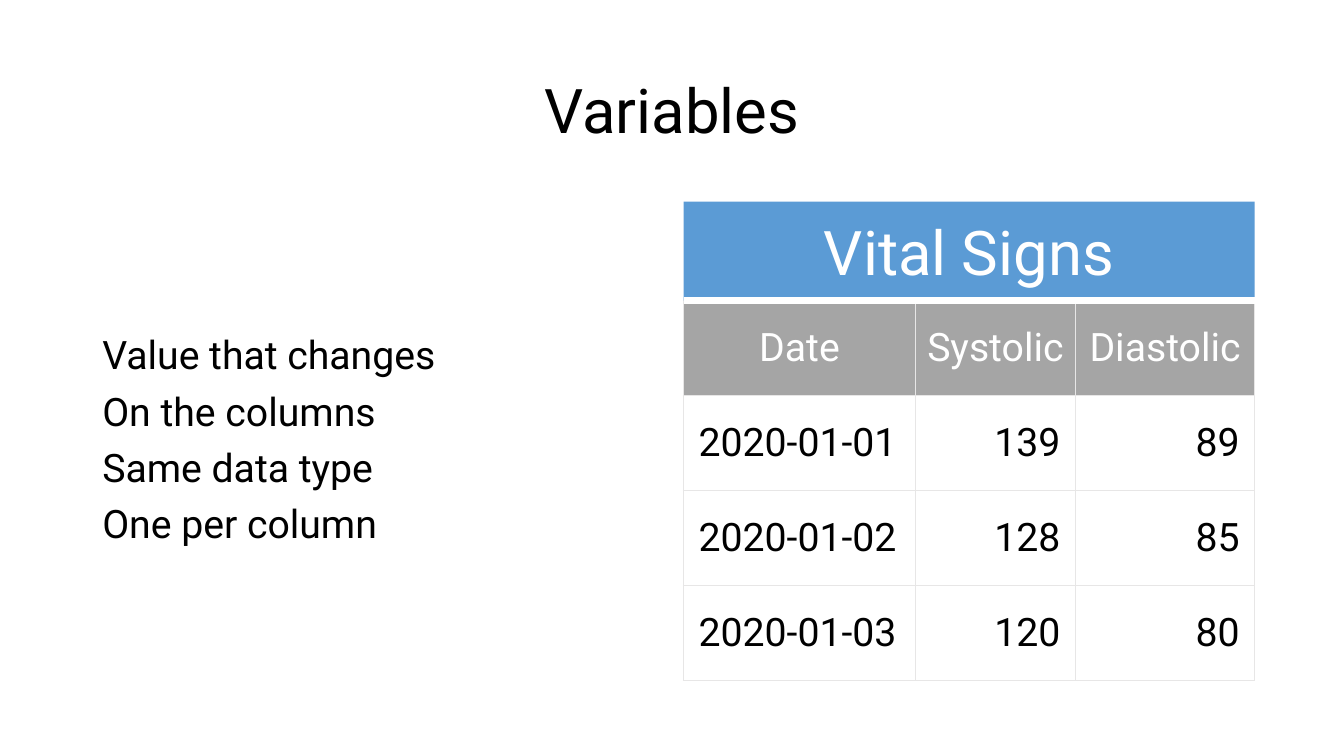
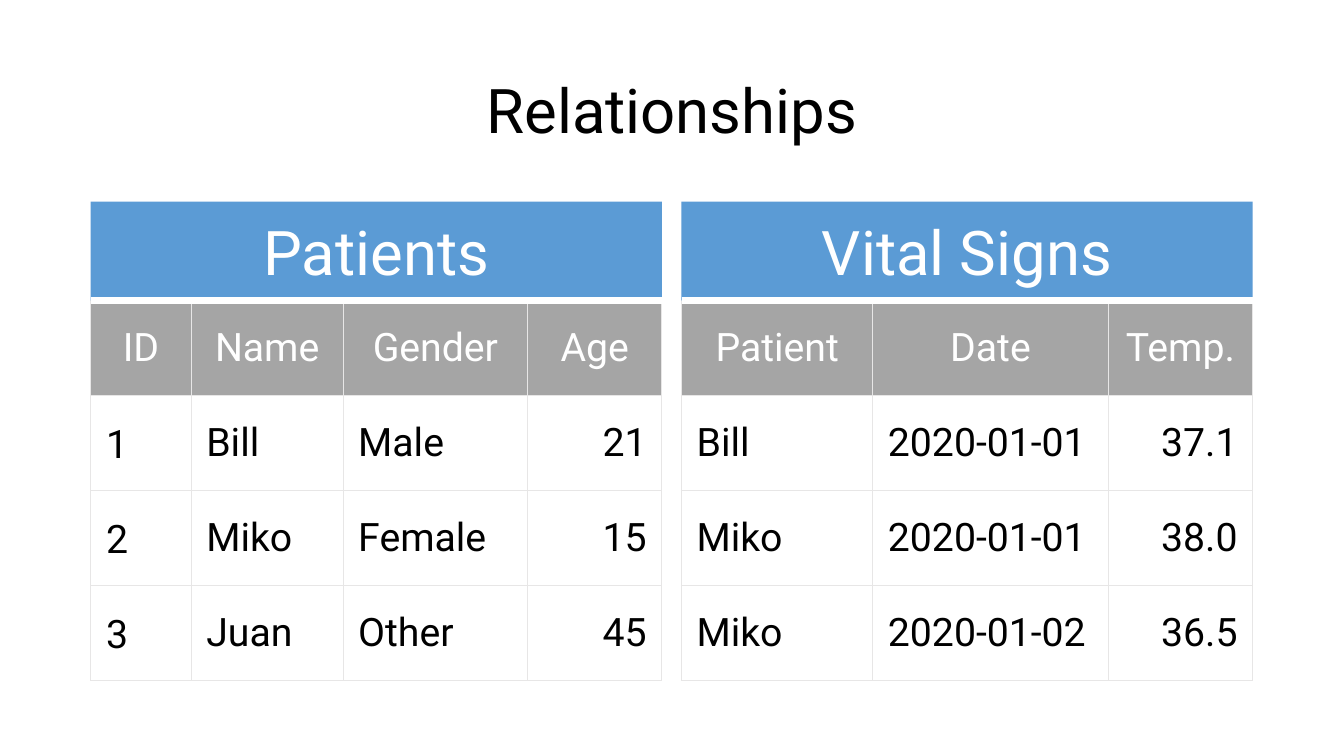
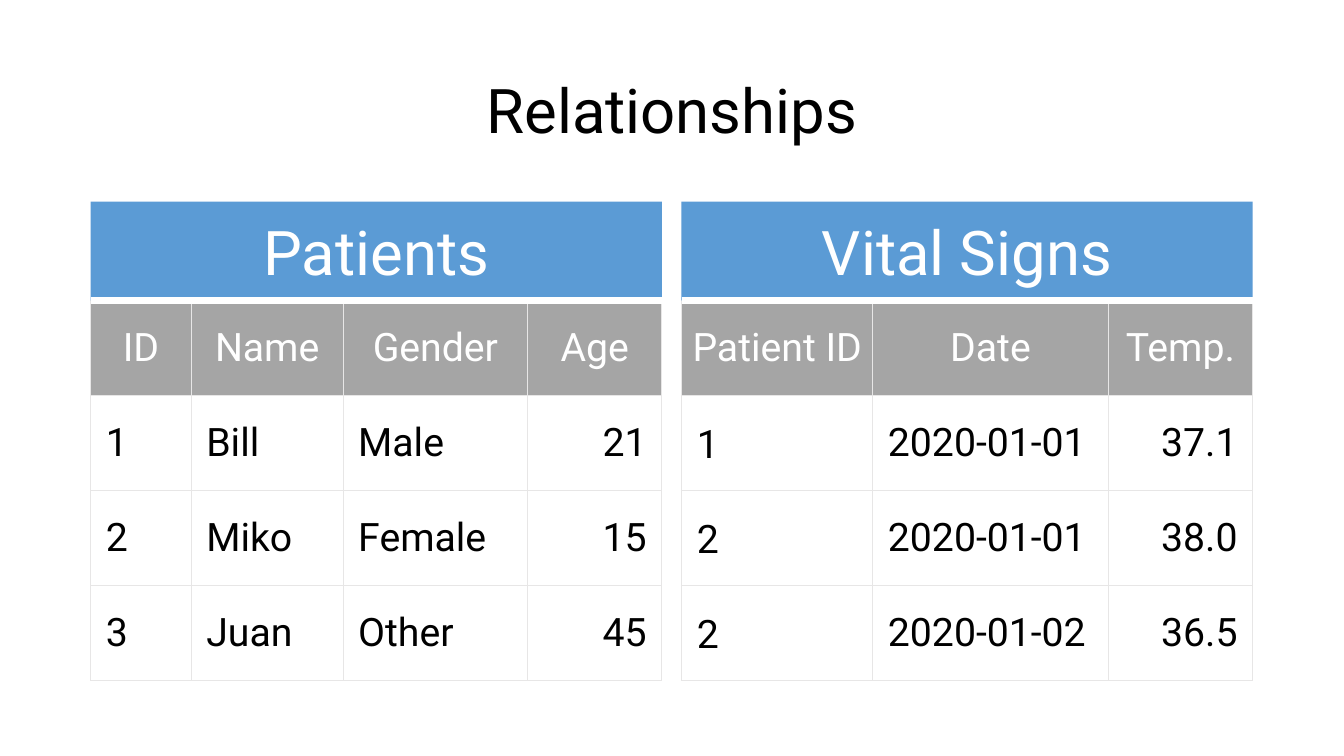
from pptx import Presentation
from pptx.dml.color import RGBColor
from pptx.enum.shapes import MSO_CONNECTOR as Connector, MSO_SHAPE as Shape
from pptx.enum.text import MSO_ANCHOR as Anchor, MSO_AUTO_SIZE as AutoSize, PP_ALIGN as Align
from pptx.oxml.ns import qn
from pptx.util import Inches, Pt
from lxml import etree

# Positions in percent of the slide's width or height
TITLE_AREA = (6.88, 5.32, 86.25, 19.33)
BODY_AREA = (6.88, 26.67, 42.5, 63.47)
BANNER_TOP, BANNER_HEIGHT = 26.67, 13.07
TABLE_WIDTH, ROW_HEIGHT = 42.5, 12.57
KEY_OFFSET, KEY_WIDTH = 0.4, 3.15

# Column shares in percent of the table's width
PATIENT_COLUMNS = (17.6, 26.6, 32.3, 23.5)
VITAL_COLUMNS = (33.5, 41.2, 25.3)
READING_COLUMNS = (40.6, 28, 31.4)

PATIENTS = [
    ("ID", "Name", "Gender", "Age"),
    ("1", "Bill", "Male", "21"),
    ("2", "Miko", "Female", "15"),
    ("3", "Juan", "Other", "45"),
]
READINGS = [
    ("Date", "Systolic", "Diastolic"),
    ("2020-01-01", "139", "89"),
    ("2020-01-02", "128", "85"),
    ("2020-01-03", "120", "80"),
]
TEMPERATURES = [
    ("Date", "Temp."),
    ("2020-01-01", "37.1"),
    ("2020-01-01", "38.0"),
    ("2020-01-02", "36.5"),
]


def colour(value):
    return RGBColor.from_string(value)


class Deck:
    FONT, HEADING, TEXT = "Roboto", 44, 28
    BLACK, WHITE, BLUE, GREY, RULE = "000000", "FFFFFF", "5B9BD5", "A5A5A5", "E7E6E6"

    def __init__(self):
        self.deck = Presentation()
        self.deck.slide_width, self.deck.slide_height = Inches(13.33), Inches(7.5)
        self.page = None

    def x(self, percent):
        return round(self.deck.slide_width * percent / 100)

    def y(self, percent):
        return round(self.deck.slide_height * percent / 100)

    def area(self, left, top, width, height):
        return self.x(left), self.y(top), self.x(width), self.y(height)

    def style(self, frame, size, tint, align=Align.LEFT):
        for para in frame.paragraphs:
            para.alignment = align
            for span in para.runs:
                span.font.name, span.font.size = self.FONT, Pt(size)
                span.font.color.rgb = colour(tint)

    # Slide with its title
    def slide(self, title):
        self.page = self.deck.slides.add_slide(self.deck.slide_layouts[5])
        box = self.page.shapes.title
        box.left, box.top, box.width, box.height = self.area(*TITLE_AREA)
        frame = box.text_frame
        frame.text = title
        frame.auto_size, frame.vertical_anchor = AutoSize.NONE, Anchor.MIDDLE
        frame.paragraphs[0].line_spacing = 0.9
        self.style(frame, self.HEADING, self.BLACK, Align.CENTER)

    # Plain text, centred vertically in its area
    def text(self, words, *area):
        frame = self.page.shapes.add_textbox(*self.area(*area)).text_frame
        frame.word_wrap, frame.vertical_anchor = True, Anchor.MIDDLE
        frame.text = words
        self.style(frame, self.TEXT, self.BLACK)
        return frame

    def body(self, lines):
        for para in self.text("\n".join(lines), *BODY_AREA).paragraphs:
            para.line_spacing, para.space_before = 0.9, Pt(10)

    # Blue name band above a table
    def banner(self, name, left):
        box = self.page.shapes.add_shape(
            Shape.RECTANGLE, *self.area(left, BANNER_TOP, TABLE_WIDTH, BANNER_HEIGHT))
        box.shadow.inherit = False
        box.fill.solid()
        box.fill.fore_color.rgb = colour(self.BLUE)
        box.line.fill.background()
        box.text_frame.text = name
        box.text_frame.vertical_anchor = Anchor.MIDDLE
        self.style(box.text_frame, self.HEADING, self.WHITE, Align.CENTER)

    # White rule between band and table
    def divider(self, left):
        height = self.y(BANNER_TOP + BANNER_HEIGHT)
        line = self.page.shapes.add_connector(
            Connector.STRAIGHT, self.x(left), height, self.x(left + TABLE_WIDTH), height)
        line.line.color.rgb, line.line.width = colour(self.WHITE), Pt(4.5)
        etree.SubElement(line._element.spPr, qn("a:effectLst"))

    def borders(self, cell):
        properties = cell._tc.get_or_add_tcPr()
        for side in ("lnL", "lnR", "lnT", "lnB"):
            edge = etree.SubElement(properties, qn(f"a:{side}"), w=str(Pt(1)))
            fill = etree.SubElement(edge, qn("a:solidFill"))
            etree.SubElement(fill, qn("a:srgbClr"), val=self.RULE)

    def cell(self, cell, words, header, align):
        self.borders(cell)
        cell.fill.solid()
        cell.fill.fore_color.rgb = colour(self.GREY if header else self.WHITE)
        cell.vertical_anchor = Anchor.MIDDLE
        cell.margin_left = cell.margin_right = Inches(0.05 if header else 0.15)
        cell.margin_top = cell.margin_bottom = Inches(0.05 if header else 0.15)
        cell.text_frame.text = words
        self.style(cell.text_frame, self.TEXT, self.WHITE if header else self.BLACK,
                   Align.CENTER if header else align)

    # Named table: dates and words go left, measures right.
    # Loose keys are text boxes over an empty first column.
    def table(self, name, left, shares, rows, loose_keys=False):
        top = BANNER_TOP + BANNER_HEIGHT
        grid = self.page.shapes.add_table(
            len(rows), len(shares),
            *self.area(left, top, TABLE_WIDTH, ROW_HEIGHT * len(rows))).table
        grid.first_row = grid.horz_banding = False
        for column, share in zip(grid.columns, shares):
            column.width = self.x(TABLE_WIDTH * share / 100)
        for r, row in enumerate(rows):
            grid.rows[r].height = self.y(ROW_HEIGHT)
            for c, words in enumerate(row):
                loose = loose_keys and r > 0 and c == 0
                measure = c > 0 and words.replace(".", "").isdigit()
                self.cell(grid.cell(r, c), "" if loose else words, r == 0,
                          Align.RIGHT if measure else Align.LEFT)
        self.banner(name, left)
        self.divider(left)
        if loose_keys:
            for r, row in enumerate(rows[1:], 1):
                self.text(row[0], left + KEY_OFFSET, top + r * ROW_HEIGHT,
                          KEY_WIDTH, ROW_HEIGHT)

    # Patients beside their vital signs
    def relationships(self, keys, loose_patients, loose_vitals):
        self.slide("Relationships")
        vitals = [(key, *row) for key, row in zip(keys, TEMPERATURES)]
        self.table("Vital Signs", 50.71, VITAL_COLUMNS, vitals, loose_vitals)
        self.table("Patients", 6.75, PATIENT_COLUMNS, PATIENTS, loose_patients)


def main():
    show = Deck()

    # Variables
    show.slide("Variables")
    show.body(["Value that changes", "On the columns", "Same data type", "One per column"])
    show.table("Vital Signs", 50.86, READING_COLUMNS, READINGS)

    # Relationships by name, then by ID
    show.relationships(("Patient", "Bill", "Miko", "Miko"), True, False)
    show.relationships(("Patient ID", "1", "2", "2"), False, True)

    show.deck.save("out.pptx")


if __name__ == "__main__":
    main()
